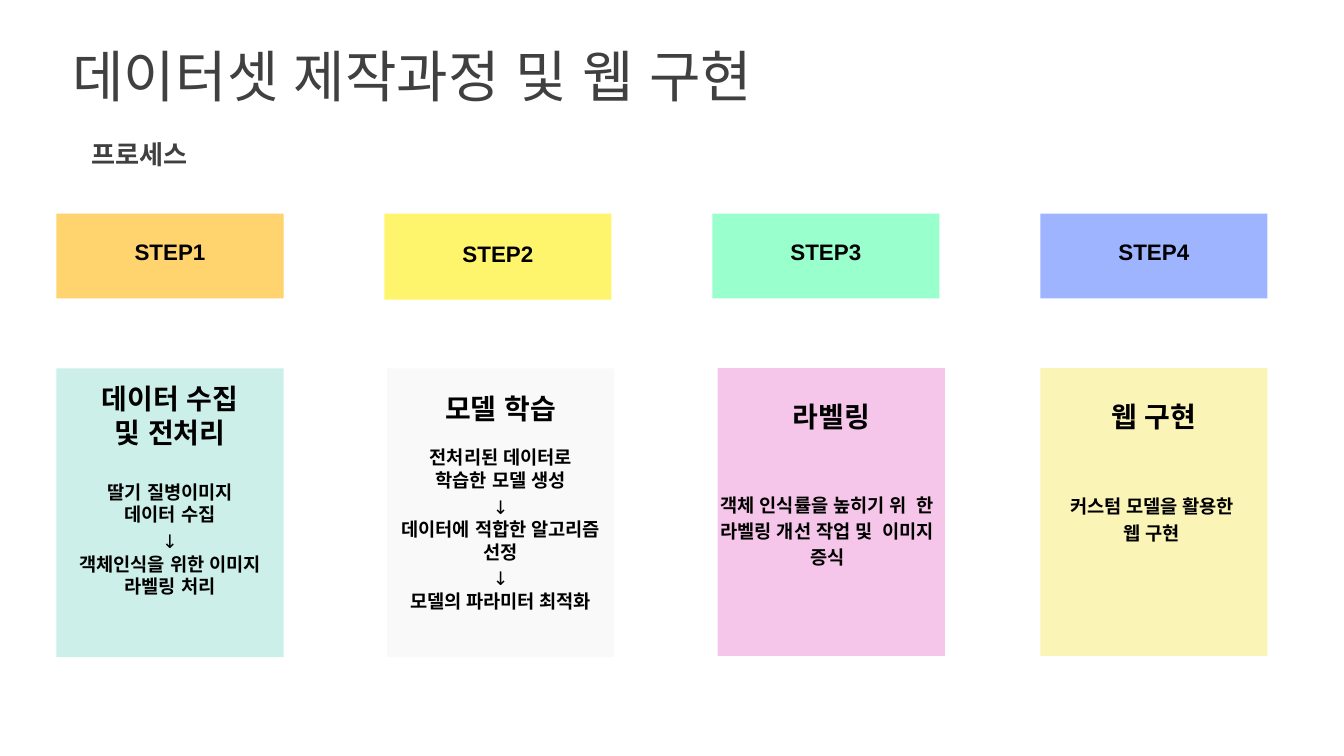
from lxml import etree
from pptx import Presentation
from pptx.dml.color import RGBColor
from pptx.enum.shapes import MSO_SHAPE
from pptx.enum.text import MSO_ANCHOR, PP_ALIGN
from pptx.oxml.ns import qn
from pptx.util import Emu, Inches, Pt

RECT = MSO_SHAPE.RECTANGLE
TOP = MSO_ANCHOR.TOP
LEFT, CENTER = PP_ALIGN.LEFT, PP_ALIGN.CENTER

COLORS = {
    "ink": "000000", "title": "404040",
    "orange": "FFD36E", "yellow": "FFF56D", "green": "99FFCC", "blue": "9EB4FF",
    "mint": "CCF0E9", "gray": "F9F9F9", "pink": "F5C6E9", "cream": "FAF4B6",
}
ARROW = "↓"
WIDE = 1.69

# fill, height, text inset
STEPS = [("orange", 0.63, 0.18), ("yellow", 0.64, 0.2),
         ("green", 0.63, 0.18), ("blue", 0.63, 0.18)]

# left, height, fill, side inset, top inset, heading lines, gap in points,
# body lines, body line spacing, right indent
CARDS = [
    (0.42, 2.15, "mint", 0.1, 0.1, ["데이터 수집", "및 전처리"], 17,
     ["딸기 질병이미지", "데이터 수집", ARROW,
      "객체인식을 위한 이미지", "라벨링 처리"], 1, 0),
    (2.88, 2.15, "gray", 0.1, 0.17, ["모델 학습"], 11.5,
     ["전처리된 데이터로", "학습한 모델 생성", ARROW,
      "데이터에 적합한 알고리즘", "선정", ARROW, "모델의 파라미터 최적화"], 1, 0),
    (5.34, 2.14, "pink", 0, 0.23, ["라벨링"], 30.5,
     ["객체 인식률을 높히기 위  한 라벨링 개선 작업 및  이미지 증식"], 1.17, 0.06),
    (7.74, 2.14, "cream", 0, 0.23, ["웹 구현"], 31.5,
     ["커스텀 모델을 활용한", "웹 구현"], 1.17, 0.03),
]


def set_frame(frame, side, top):
    frame.word_wrap = True
    frame.vertical_anchor = TOP
    frame.margin_left = frame.margin_right = Inches(side)
    frame.margin_top, frame.margin_bottom = Inches(top), Emu(0)


def write(para, text, size, color="ink", face="Arial", bold=True, align=CENTER):
    para.text = text
    para.alignment = align
    font = para.font
    font.size, font.name, font.bold = Pt(size), face, bold
    font.color.rgb = RGBColor.from_string(COLORS[color])
    if text != ARROW:
        etree.SubElement(font._element, qn("a:ea")).set("typeface", "Arial")


def add_block(slide, box, fill, side, top):
    """Add a plain filled box and return its text frame."""
    shape = slide.shapes.add_shape(RECT, *map(Inches, box))
    shape.shadow.inherit = False
    shape.fill.solid()
    shape.fill.fore_color.rgb = RGBColor.from_string(COLORS[fill])
    shape.line.fill.background()
    set_frame(shape.text_frame, side, top)
    return shape.text_frame


def add_label(slide, box, text, size, face, bold):
    frame = slide.shapes.add_textbox(*map(Inches, box)).text_frame
    set_frame(frame, 0.01, 0.01)
    write(frame.paragraphs[0], text, size, "title", face, bold, LEFT)


def add_steps(slide, left, top, pitch):
    for i, (fill, high, inset) in enumerate(STEPS):
        box = (left + i * pitch, top, WIDE, high)
        frame = add_block(slide, box, fill, 0, inset)
        write(frame.paragraphs[0], f"STEP{i + 1}", 12)


def add_card(slide, top, card):
    left, high, fill, side, inset, heads, gap, lines, space, right = card
    frame = add_block(slide, (left, top, WIDE, high), fill, side, inset)
    for i, text in enumerate(heads):
        para = frame.add_paragraph() if i else frame.paragraphs[0]
        write(para, text, 15)
    for i, text in enumerate(lines):
        para = frame.add_paragraph()
        if right:
            para._p.get_or_add_pPr().set("marR", str(Inches(right)))
        arrow = text == ARROW
        write(para, text, 10, face="Roboto" if arrow else "Arial", bold=not arrow)
        para.line_spacing = 1.2 if arrow else space
        if i == 0:
            para.space_before = Pt(gap)


def main():
    deck = Presentation()
    deck.slide_width = Inches(10)
    deck.slide_height = deck.slide_width * 9 // 16
    slide = deck.slides.add_slide(deck.slide_layouts[6])
    add_label(slide, (0.53, 0.3, 5.35, 0.51),
              "데이터셋 제작과정 및 웹 구현", 30, "Roboto", False)
    add_label(slide, (0.67, 1.02, 1.17, 0.24), "프로세스", 14, "Arial", True)
    add_steps(slide, 0.42, 1.59, 2.44)
    for card in CARDS:
        add_card(slide, 2.74, card)
    deck.save("out.pptx")


if __name__ == "__main__":
    main()
